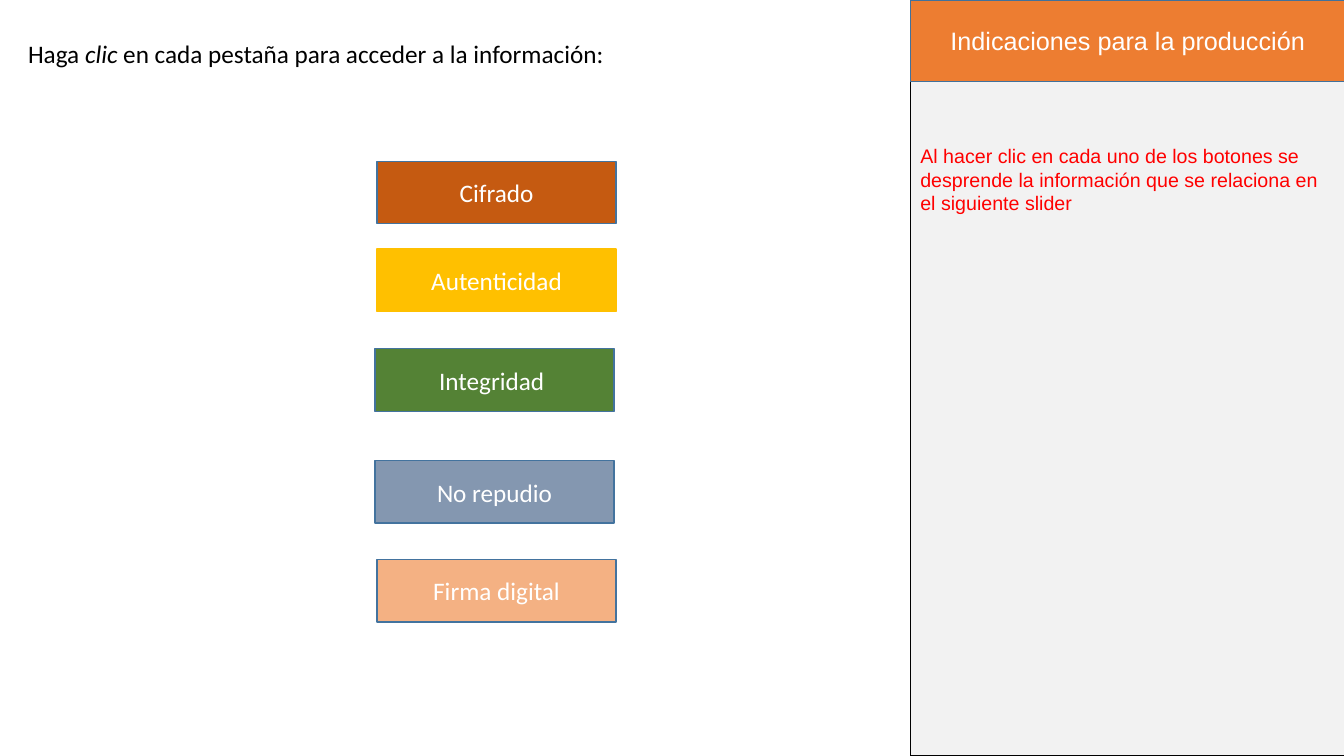
from pptx import Presentation, util as u
from pptx.dml.color import RGBColor
from pptx.enum import shapes, text

COLORS = {
    "white": "FFFFFF", "black": "000000", "red": "FF0000",
    "gray": "F2F2F2", "orange": "ED7D31", "navy": "42719B", "blue": "43739E",
    "rust": "C55A11", "gold": "FFC000", "green": "548235",
    "slate": "8497B0", "peach": "F4B183",
}


class Deck:
    """Holds the style and the current slide."""

    frame = {
        "word_wrap": True,
        "margin_left": u.Inches(0.1), "margin_right": u.Inches(0.1),
        "margin_top": u.Inches(0.05), "margin_bottom": u.Inches(0.05),
    }

    def __init__(self, width, height):
        self.prs = Presentation()
        self.prs.slide_width = u.Inches(width)
        self.prs.slide_height = u.Inches(height)
        self.slide = self.prs.slides.add_slide(self.prs.slide_layouts[6])

    def color(self, name):
        return RGBColor.from_string(COLORS[name])

    def label(self, shape, runs, align, anchor, font, size, color):
        body = shape.text_frame
        for key, value in {**self.frame, "vertical_anchor": anchor}.items():
            setattr(body, key, value)
        para = body.paragraphs[0]
        para.alignment = align
        for words, slant in runs:
            run = para.add_run()
            run.text = words
            look = {"name": font, "size": u.Pt(size), "italic": slant}
            for key, value in look.items():
                setattr(run.font, key, value)
            run.font.color.rgb = self.color(color)

    def box(self, place, fill, line, words="", font="Calibri"):
        shape = self.slide.shapes.add_shape(
            shapes.MSO_SHAPE.RECTANGLE, *map(u.Inches, place))
        shape.shadow.inherit = False
        shape.fill.solid()
        shape.fill.fore_color.rgb = self.color(fill)
        shape.line.color.rgb = self.color(line)
        shape.line.width = u.Pt(1)
        if words:
            self.label(shape, [(words, False)], text.PP_ALIGN.CENTER,
                       text.MSO_ANCHOR.MIDDLE, font, 18, "white")

    def note(self, place, runs, font, size, color):
        shape = self.slide.shapes.add_textbox(*map(u.Inches, place))
        self.label(shape, runs, text.PP_ALIGN.LEFT,
                   text.MSO_ANCHOR.TOP, font, size, color)


def main():
    deck = Deck(13.33, 7.5)

    # Side panel with production notes
    deck.box((9.03, 0, 4.31, 7.5), "gray", "black")
    deck.note((9.03, 1.38, 4.33, 3.3), [
        ("Al hacer clic en cada uno de los botones se desprende "
         "la información que se relaciona en el siguiente slider", False),
    ], "Arial", 14, "red")
    deck.box((9.03, 0, 4.31, 0.81), "orange", "navy",
             "Indicaciones para la producción", "Arial")

    # Tab buttons
    tabs = [
        (3.74, 1.6, "rust", "blue", "Cifrado"),
        (3.74, 2.47, "gold", "gold", "Autenticidad"),
        (3.72, 3.46, "green", "blue", "Integridad "),
        (3.72, 4.57, "slate", "blue", "No repudio"),
        (3.74, 5.55, "peach", "blue", "Firma digital"),
    ]
    for left, top, fill, line, words in tabs:
        deck.box((left, top, 2.37, 0.62), fill, line, words)

    # Instruction
    deck.note((0.18, 0.33, 7.79, 0.4), [
        ("Haga ", False),
        ("clic", True),
        (" en cada pestaña para acceder a la información:", False),
    ], "Calibri", 18, "black")

    deck.prs.save("out.pptx")


if __name__ == "__main__":
    main()
